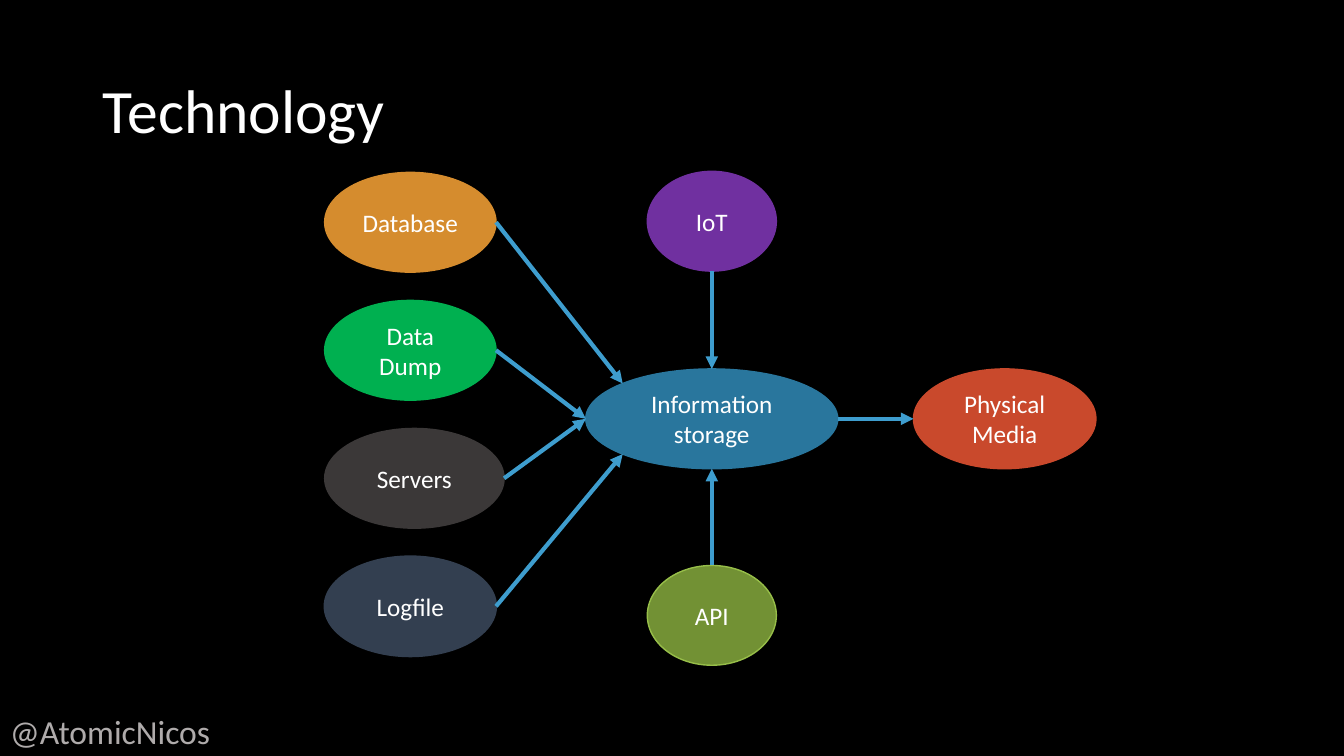
"""Build the Technology slide: data sources flowing into information storage."""
from math import cos, radians, sin

from lxml.etree import SubElement
from pptx import Presentation
from pptx.dml.color import RGBColor
from pptx.enum.shapes import MSO_CONNECTOR, MSO_SHAPE
from pptx.enum.text import MSO_ANCHOR, PP_ALIGN
from pptx.oxml.ns import qn
from pptx.util import Inches, Pt

TOP, TOP_LEFT, LEFT, BOTTOM_LEFT, BOTTOM, RIGHT = 0, 1, 2, 3, 4, 6
OVAL_HEIGHT = 0.99


def colour(value):
    return RGBColor.from_string(value)


def site_point(oval, site):
    angle = radians(90 + 45 * site)
    x = oval.left + oval.width / 2 * (1 + cos(angle))
    y = oval.top + oval.height / 2 * (1 - sin(angle))
    return round(x), round(y)


class SlideBuilder:
    font = "Calibri"
    text_colour = "FFFFFF"
    arrow_colour = "3E9DCE"

    def __init__(self, deck):
        self.page = deck.slides.add_slide(deck.slide_layouts[5])
        fill = self.page.background.fill
        fill.solid()
        fill.fore_color.rgb = colour("000000")

    def fill_text(self, box, text, size, text_colour=None, align=PP_ALIGN.LEFT,
                  anchor=MSO_ANCHOR.MIDDLE, spacing=1.0):
        frame = box.text_frame
        frame.word_wrap = True
        frame.vertical_anchor = anchor
        para = frame.paragraphs[0]
        for name, value in {"alignment": align, "line_spacing": spacing}.items():
            setattr(para, name, value)
        span = para.add_run()
        span.text = text
        for name, value in {"name": self.font, "size": Pt(size)}.items():
            setattr(span.font, name, value)
        span.font.color.rgb = colour(text_colour or self.text_colour)

    def title(self, text, left, top, width, height):
        box = self.page.shapes.title
        place = {"left": left, "top": top, "width": width, "height": height}
        for name, value in place.items():
            setattr(box, name, Inches(value))
        self.fill_text(box, text, 44, spacing=0.9)

    def label(self, text, left, top, width, height):
        box = self.page.shapes.add_textbox(
            Inches(left), Inches(top), Inches(width), Inches(height))
        self.fill_text(box, text, 24, "AFABAB", anchor=MSO_ANCHOR.TOP)

    def oval(self, text, left, top, width, fill, line=None, weight=1):
        box = self.page.shapes.add_shape(
            MSO_SHAPE.OVAL, Inches(left), Inches(top), Inches(width), Inches(OVAL_HEIGHT))
        box.shadow.inherit = False
        box.fill.solid()
        box.fill.fore_color.rgb = colour(fill)
        box.line.color.rgb = colour(line or fill)
        box.line.width = Pt(weight)
        self.fill_text(box, text, 18, align=PP_ALIGN.CENTER)
        return box

    def arrow(self, source, source_site, target, target_site):
        connector = self.page.shapes.add_connector(
            MSO_CONNECTOR.STRAIGHT,
            *site_point(source, source_site), *site_point(target, target_site))
        connector.line.color.rgb = colour(self.arrow_colour)
        connector.line.width = Pt(3)
        outline = connector._element.spPr.find(qn("a:ln"))
        SubElement(outline, qn("a:tailEnd"), type="triangle")
        SubElement(connector._element.spPr, qn("a:effectLst"))
        joints = connector._element.nvCxnSpPr.cNvCxnSpPr
        for tag, oval, site in (("a:stCxn", source, source_site),
                                ("a:endCxn", target, target_site)):
            SubElement(joints, qn(tag), id=str(oval.shape_id), idx=str(site))


def main():
    deck = Presentation()
    deck.slide_width, deck.slide_height = Inches(13.33), Inches(7.5)
    slide = SlideBuilder(deck)
    slide.title("Technology", 0.92, 0.4, 11.5, 1.45)

    storage = slide.oval("Information storage", 5.81, 3.66, 2.5, "29769D")
    media = slide.oval("Physical Media", 9.06, 3.66, 1.81, "C9492C")
    slide.arrow(storage, RIGHT, media, LEFT)

    sources = [
        ("Database", 1.7, "D58C2E", 1, TOP_LEFT),
        ("Data Dump", 1.7, "00B050", 1, LEFT),
        ("Servers", 1.78, "3B3838", 1, LEFT),
        ("Logfile", 1.7, "333F50", 1.5, BOTTOM_LEFT),
    ]
    for row, (name, width, fill, weight, entry) in enumerate(sources):
        source = slide.oval(name, 3.22, 1.71 + 1.27 * row, width, fill, weight=weight)
        slide.arrow(source, RIGHT, storage, entry)

    feeds = [
        ("API", 5.61, "729134", "97BE49", TOP, BOTTOM),
        ("IoT", 1.7, "7030A0", "7030A0", BOTTOM, TOP),
    ]
    for name, top, fill, line, leave, entry in feeds:
        feed = slide.oval(name, 6.42, top, 1.28, fill, line)
        slide.arrow(feed, leave, storage, entry)

    slide.label("@AtomicNicos", 0, 7, 2.3, 0.5)
    deck.save("out.pptx")


if __name__ == "__main__":
    main()
